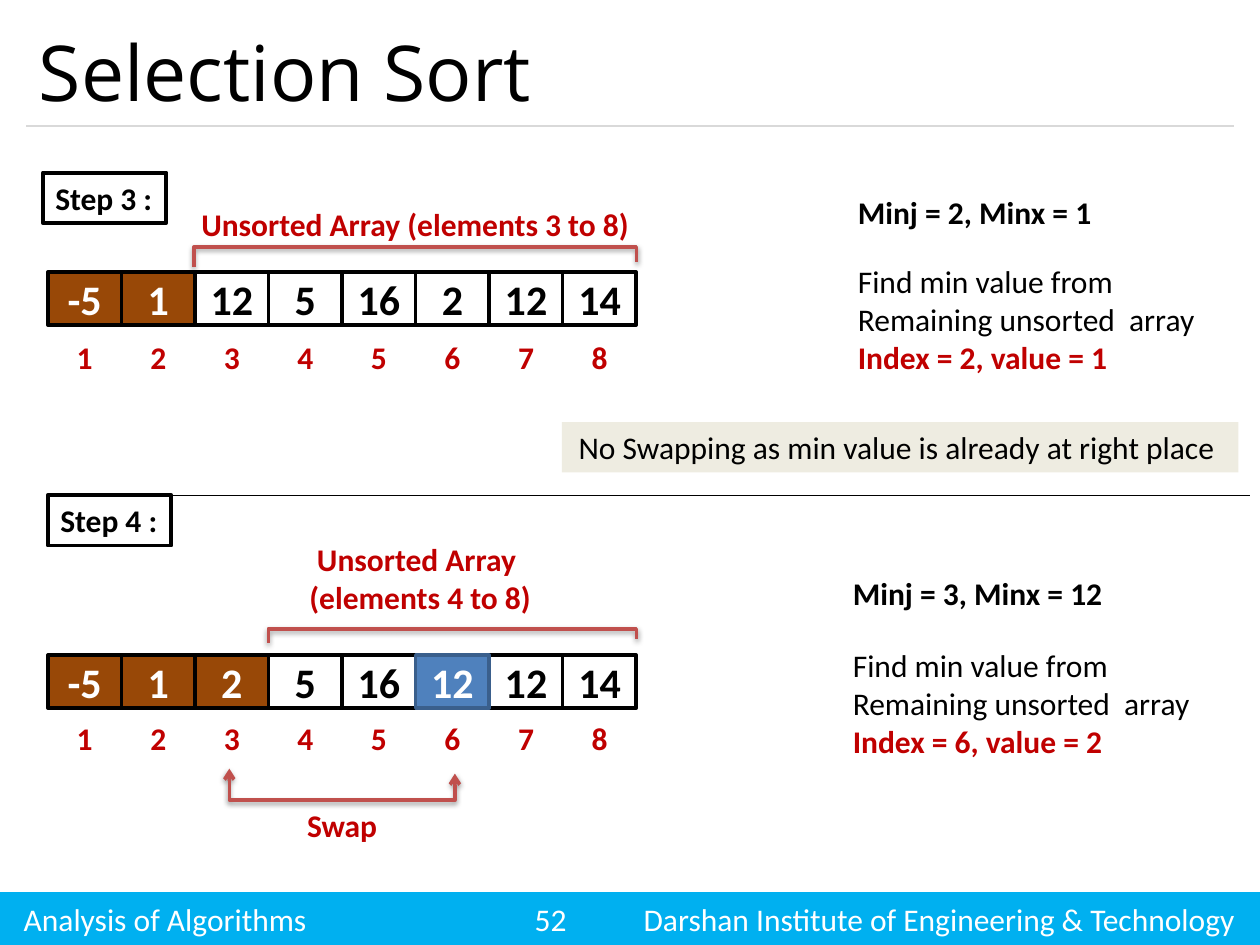
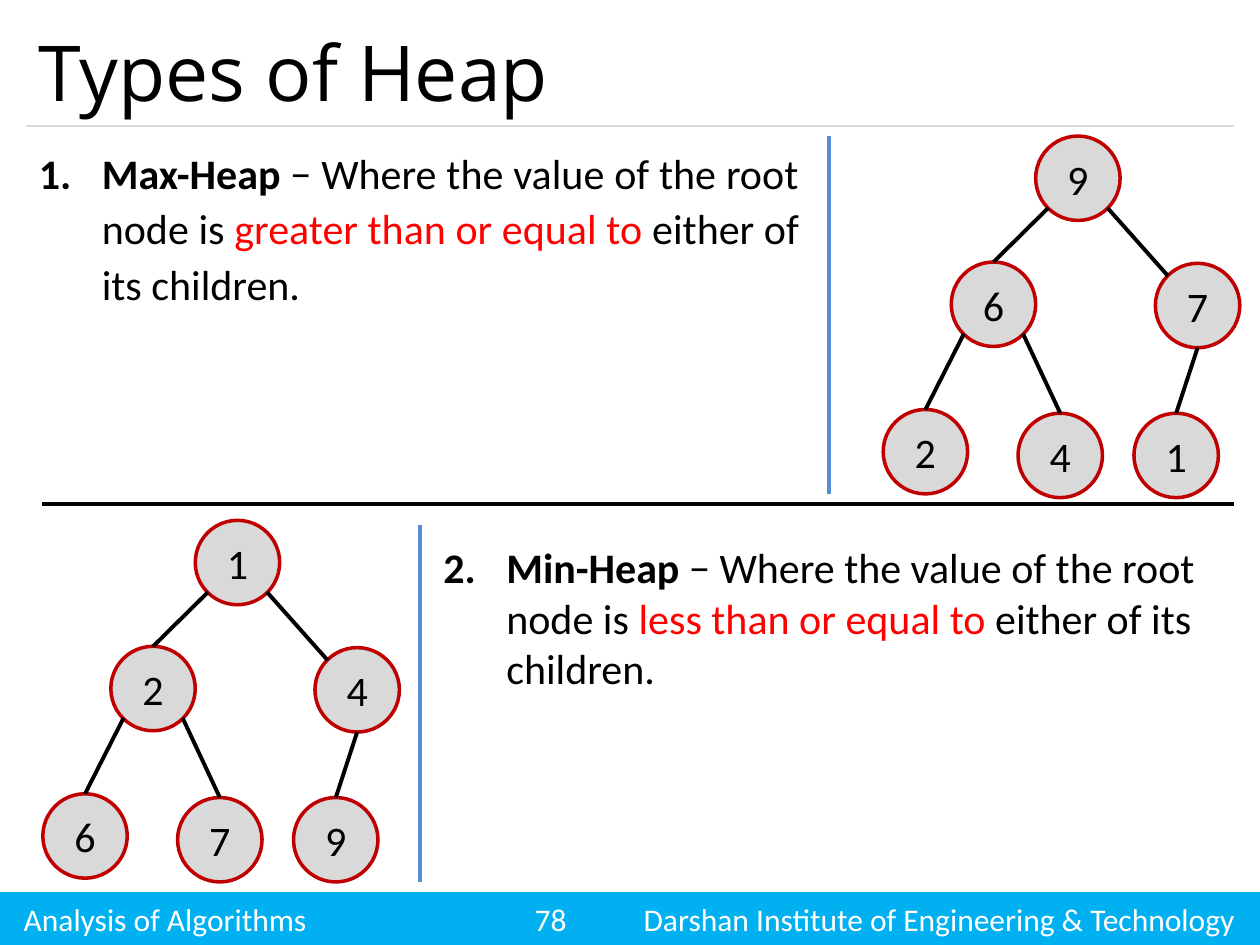
from lxml import etree
from pptx import Presentation
from pptx import util as u
from pptx.dml.color import RGBColor
from pptx.enum import shapes, text
from pptx.oxml import ns

BLACK, WHITE, RED, BRICK = "000000", "FFFFFF", "C00000", "C0504D"
BROWN, BLUE, GREY, SKY = "984807", "4F81BD", "D9D9D9", "00B0F0"
RECT = shapes.MSO_SHAPE.RECTANGLE
OVAL = shapes.MSO_SHAPE.OVAL
LEFT, MID, RIGHT, FULL = (text.PP_ALIGN.LEFT, text.PP_ALIGN.CENTER,
                          text.PP_ALIGN.RIGHT, text.PP_ALIGN.JUSTIFY)
hue = RGBColor.from_string


def write(page, words, at, kind=None, fill=None, edge=None, width=2, size=18,
          color=BLACK, bold=False, font="Calibri", align=LEFT, middle=False,
          wrap=True, start=None, space=None, after=None):
    """Words: a string, or paragraphs made of (text, color, bold) runs."""
    at = [u.Inches(n) for n in at]
    if kind is None:
        box = page.shapes.add_textbox(*at)
    else:
        box = page.shapes.add_shape(kind, *at)
        box.shadow.inherit = False
    if fill:
        box.fill.solid()
        box.fill.fore_color.rgb = hue(fill)
    else:
        box.fill.background()
    if edge:
        box.line.color.rgb = hue(edge)
        box.line.width = u.Pt(width)
    else:
        box.line.fill.background()
    frame = box.text_frame
    frame.word_wrap = wrap
    anchor = text.MSO_ANCHOR
    frame.vertical_anchor = anchor.MIDDLE if middle else anchor.TOP
    if isinstance(words, str):
        words = [[(words, color, bold)]]
    for i, runs in enumerate(words):
        para = frame.paragraphs[0] if i == 0 else frame.add_paragraph()
        if start:
            props = para._p.get_or_add_pPr()
            props.set("marL", str(u.Inches(0.5)))
            props.set("indent", str(u.Inches(-0.5)))
            etree.SubElement(props, ns.qn("a:buAutoNum"),
                             type="arabicPeriod", startAt=str(start))
        para.alignment = align
        if space:
            para.line_spacing = space
        if after:
            para.space_after = u.Pt(after)
        for part, tint, heavy in runs:
            run = para.add_run()
            run.text = part
            run.font.name = font
            run.font.size = u.Pt(size)
            run.font.bold = heavy
            run.font.color.rgb = hue(tint)
    return box


def link(page, ends, color=BLACK, width=2.25):
    """Draw a straight line through (x1, y1, x2, y2)."""
    line = page.shapes.add_connector(shapes.MSO_CONNECTOR.STRAIGHT,
                                     *[u.Inches(n) for n in ends])
    line.line.color.rgb = hue(color)
    line.line.width = u.Pt(width)
    etree.SubElement(line._element.spPr, ns.qn("a:effectLst"))


deck = Presentation()
deck.slide_width, deck.slide_height = u.Inches(10), u.Inches(7.5)

# Shared title, rule and footer band
pages = []
for title, num in (("Selection Sort", "52"), ("Types of Heap", "78")):
    page = deck.slides.add_slide(deck.slide_layouts[6])
    write(page, "", (0, 7.08, 10, 0.42), RECT, fill=SKY)
    for words, x, wide, align in (
            ("Analysis of Algorithms", 0.09, 3, LEFT),
            (num, 3.97, 0.8, MID),
            ("Darshan Institute of Engineering & Technology", 4.8, 5.1, RIGHT)):
        write(page, words, (x, 7.08, wide, 0.42), color=WHITE, align=align,
              middle=True)
    link(page, (0.21, 1, 9.79, 1), GREY, 0.75)
    write(page, title, (0.21, 0.12, 9.58, 0.88), size=44, font="Open Sans",
          middle=True)
    pages.append(page)
sort, heap = pages

# Sort: divider and step labels
link(sort, (0.38, 3.93, 9.92, 3.93), width=0.75)
for words, x, y in (("Step 3 :", 0.34, 1.37), ("Step 4 :", 0.38, 3.93)):
    write(sort, words, (x, y, 0.98, 0.4), RECT, edge=BLACK, width=2.25,
          bold=True, wrap=False)

# Sort: arrays with index row; done counts sorted cells, swap is the moved cell
pitch = 4.67 / 8
for top, low, vals, done, swap in (
        (2.16, 2.62, (-5, 1, 12, 5, 16, 2, 12, 14), 2, None),
        (5.2, 5.65, (-5, 1, 2, 5, 16, 12, 12, 14), 3, 5)):
    for i in range(8):
        write(sort, str(i + 1), (0.38 + i * pitch, low, pitch, 0.42), RECT,
              fill=WHITE, color=RED, bold=True, align=MID, middle=True)
    for i in sorted(range(8), key=lambda n: n == swap):
        fill = BLUE if i == swap else BROWN if i < done else WHITE
        write(sort, str(vals[i]), (0.38 + i * pitch, top, pitch, 0.42), RECT,
              fill=fill, edge="3A5F8C" if i == swap else BLACK, size=24,
              color=BLACK if fill == WHITE else WHITE, bold=True, align=MID,
              middle=True)

# Sort: brackets and swap arrow
for dots, arrow in (
        (((1.54, 2.12), (1.54, 1.96), (5.05, 1.96), (5.05, 2.08)), False),
        (((2.13, 5.1), (2.13, 4.99), (5.05, 4.99), (5.05, 5.07)), False),
        (((1.82, 6.1), (1.82, 6.35), (3.61, 6.35), (3.61, 6.14)), True)):
    dots = [(u.Inches(x), u.Inches(y)) for x, y in dots]
    path = sort.shapes.build_freeform(*dots[0])
    path.add_line_segments(dots[1:], close=False)
    mark = path.convert_to_shape()
    mark.fill.background()
    mark.line.color.rgb = hue(BRICK)
    mark.line.width = u.Pt(2)
    if arrow:
        for end in ("a:headEnd", "a:tailEnd"):
            etree.SubElement(mark.line._get_or_add_ln(), ns.qn(end),
                             type="arrow")
    mark.shadow.inherit = False
    glow = etree.SubElement(
        mark._element.spPr.find(ns.qn("a:effectLst")), ns.qn("a:outerShdw"),
        blurRad=str(u.Pt(3.1)), dist=str(u.Pt(1.6)), dir="5400000",
        rotWithShape="0")
    tint = etree.SubElement(glow, ns.qn("a:srgbClr"), val=BLACK)
    etree.SubElement(tint, ns.qn("a:alpha"), val="38000")

# Sort: red captions
for lines, at in (
        (("Unsorted Array (elements 3 to 8)",), (1.42, 1.58, 3.75, 0.4)),
        (("Unsorted Array ", "(elements 4 to 8)"), (1.46, 4.24, 3.75, 0.71)),
        (("Swap",), (2.22, 6.35, 0.99, 0.4))):
    write(sort, [[(line, RED, True)] for line in lines], at, align=MID)

# Sort: notes at the right
for head, found, x, y, low in (
        ("Minj = 2, Minx = 1", "Index = 2, value = 1", 6.71, 1.48, 2.03),
        ("Minj = 3, Minx = 12", "Index = 6, value = 2", 6.67, 4.51, 5.08)):
    write(sort, head, (x, y, 2.21, 0.4), bold=True)
    write(sort, [[("Find min value from", BLACK, False)],
                 [("Remaining unsorted  array", BLACK, False)],
                 [(found, RED, True)]], (x, low, 2.91, 1.01), wrap=False)
write(sort, "No Swapping as min value is already at right place ",
      (4.46, 3.35, 5.37, 0.4), RECT, fill="EEECE1", align=MID, wrap=False)

# Heap: definitions
for num, name, rule, at, form in (
        (1, "Max-Heap", "greater than or equal to ", (0.21, 1.08, 6.23, 2.67),
         dict(align=FULL, space=1.1, after=6)),
        (2, "Min-Heap", "less than or equal to ", (3.42, 4.25, 6.38, 1.72),
         {})):
    write(heap, [[(name, BLACK, True),
                  (" − Where the value of the root node is ", BLACK, False),
                  (rule, "FF0000", False),
                  ("either of its children.", BLACK, False)]],
          at, size=24, start=num, **form)

# Heap: dividers
link(heap, (0.33, 4, 9.79, 4))
link(heap, (6.58, 1.08, 6.58, 3.92), "558ED5")
link(heap, (3.33, 4.17, 3.33, 7), "558ED5")

# Heap: trees, with node places relative to the tree's corner
size = 0.67
nodes = ((1.21, 0), (0.54, 1), (2.16, 1.01), (0, 2.17), (1.07, 2.2),
         (1.99, 2.2))
top, foot = (size / 2, 0), (size / 2, size)
near, far = 0.1, 0.57
edges = ((0, (near, far), 1, top), (0, (far, far), 2, (near, near)),
         (1, (near, far), 3, top), (1, (far, far), 4, top), (2, foot, 5, top))
for x, y, keys in ((7.01, 1.08, "967241"), (0.34, 4.13, "124679")):
    for key, (dx, dy) in zip(keys, nodes):
        write(heap, key, (x + dx, y + dy, size, size), OVAL, fill=GREY,
              edge=RED, size=24, align=MID, middle=True)
    for a, out, b, into in edges:
        link(heap, (x + nodes[a][0] + out[0], y + nodes[a][1] + out[1],
                    x + nodes[b][0] + into[0], y + nodes[b][1] + into[1]))

deck.save("out.pptx")
